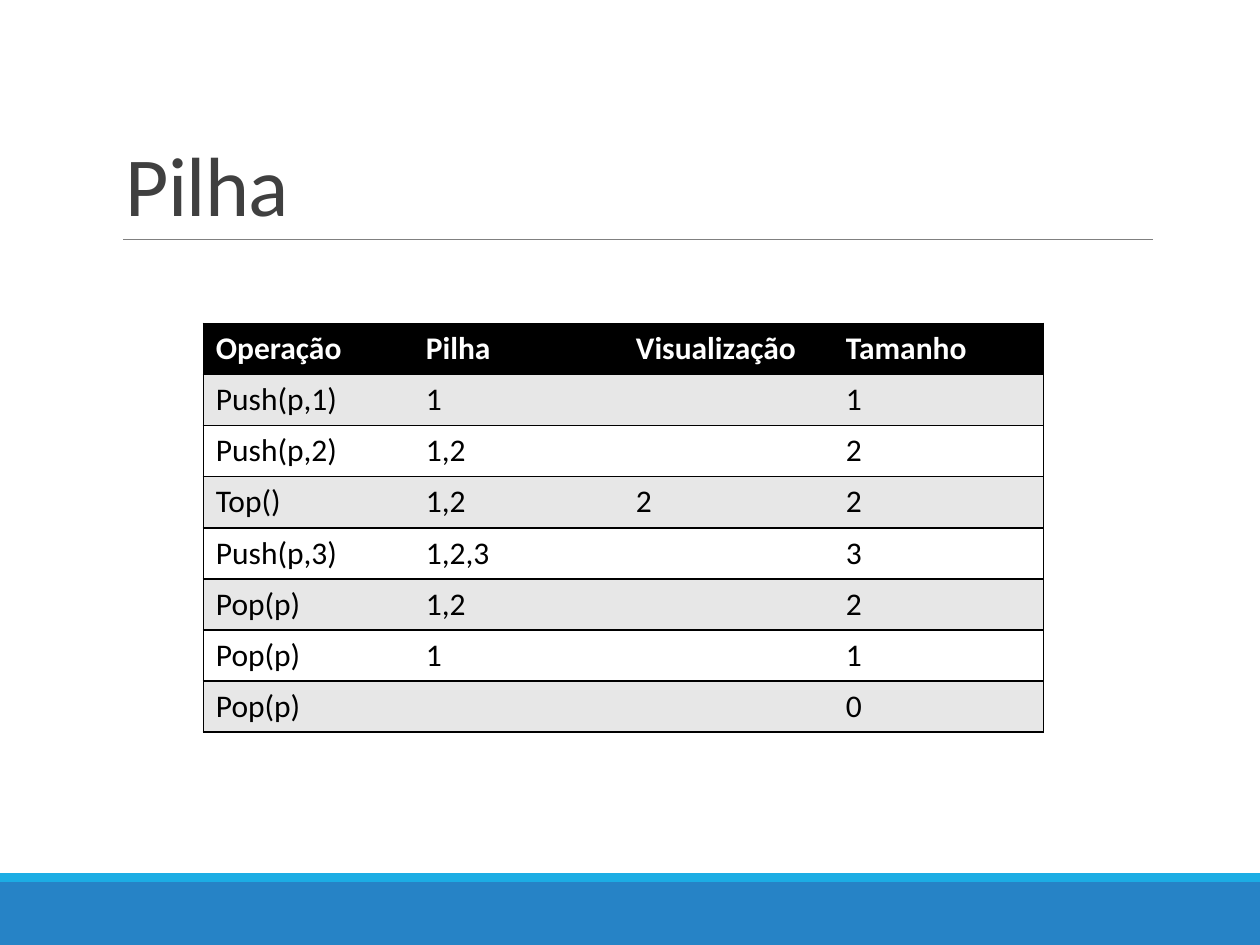
from pptx import Presentation
from pptx.dml.color import RGBColor as RGB
from pptx.enum.shapes import MSO_CONNECTOR as Link, MSO_SHAPE as Shape
from pptx.enum.text import MSO_ANCHOR as Anchor
from pptx.util import Pt
from lxml.etree import SubElement as Sub
from pptx.oxml.ns import qn

BLUE = RGB(0x26, 0x83, 0xC6)
CYAN = RGB(0x1C, 0xAD, 0xE4)
GRAY = RGB(0x80, 0x80, 0x80)
DARK = RGB(0x40, 0x40, 0x40)
BLACK = RGB(0, 0, 0)
WHITE = RGB(255, 255, 255)
PALE = RGB(0xE7, 0xE7, 0xE7)


class Page:
    font = "Calibri"

    def __init__(self, slide):
        self.slide = slide
        self.shapes = slide.shapes

    def add_text(self, para, text, size, color, bold=False):
        run = para.add_run()
        run.text = text
        font = run.font
        font.name, font.size, font.bold = self.font, Pt(size), bold
        font.color.rgb = color
        return run

    def band(self, top, height, color):
        band = self.shapes.add_shape(Shape.RECTANGLE, 0, Pt(top), Pt(720), Pt(height))
        band.shadow.inherit = False
        band.fill.solid()
        band.fill.fore_color.rgb = color
        band.line.fill.background()

    def rule(self, left, right, top, color):
        line = self.shapes.add_connector(Link.STRAIGHT, Pt(left), Pt(top), Pt(right), Pt(top))
        line.line.color.rgb = color
        line.line.width = Pt(0.5)
        Sub(line._element.spPr, qn("a:effectLst"))

    def title(self, text, left, top, width, height):
        box = self.shapes.add_textbox(Pt(left), Pt(top), Pt(width), Pt(height))
        frame = box.text_frame
        frame.word_wrap = True
        frame.vertical_anchor = Anchor.BOTTOM
        para = frame.paragraphs[0]
        para.line_spacing = 0.85
        run = self.add_text(para, text, 48, DARK)
        run._r.get_or_add_rPr().set("spc", "-50")

    def edge(self, cell, sides):
        props = cell._tc.get_or_add_tcPr()
        for side in "LRTB":
            line = Sub(props, qn("a:ln" + side), w=str(Pt(1)))
            if side in sides:
                fill = Sub(line, qn("a:solidFill"))
                Sub(fill, qn("a:srgbClr"), val=str(BLACK))
            else:
                Sub(line, qn("a:noFill"))

    def table(self, rows, left, top, width, height):
        last = len(rows[0]) - 1
        frame = self.shapes.add_table(len(rows), last + 1, Pt(left), Pt(top), Pt(width), Pt(height))
        grid = frame.table
        for r, row in enumerate(rows):
            head = r == 0
            shade = BLACK if head else PALE if r % 2 else WHITE
            for c, text in enumerate(row):
                cell = grid.cell(r, c)
                self.edge(cell, "TB" + "L" * (c == 0) + "R" * (c == last))
                cell.fill.solid()
                cell.fill.fore_color.rgb = shade
                if text:
                    para = cell.text_frame.paragraphs[0]
                    self.add_text(para, text, 18, WHITE if head else BLACK, head)


deck = Presentation()
deck.slide_width, deck.slide_height = Pt(720), Pt(540)
page = Page(deck.slides.add_slide(deck.slide_layouts[6]))

page.band(504, 36, BLUE)
page.band(499, 5, CYAN)
page.rule(70.5, 659, 136.8, GRAY)
page.title("Pilha", 64.8, 22.6, 594, 114.2)
page.table([
    ("Operação", "Pilha", "Visualização", "Tamanho"),
    ("Push(p,1)", "1", "", "1"),
    ("Push(p,2)", "1,2", "", "2"),
    ("Top()", "1,2", "2", "2"),
    ("Push(p,3)", "1,2,3", "", "3"),
    ("Pop(p)", "1,2", "", "2"),
    ("Pop(p)", "1", "", "1"),
    ("Pop(p)", "", "", "0"),
], 116.2, 184.8, 480, 233.6)

deck.save("out.pptx")
